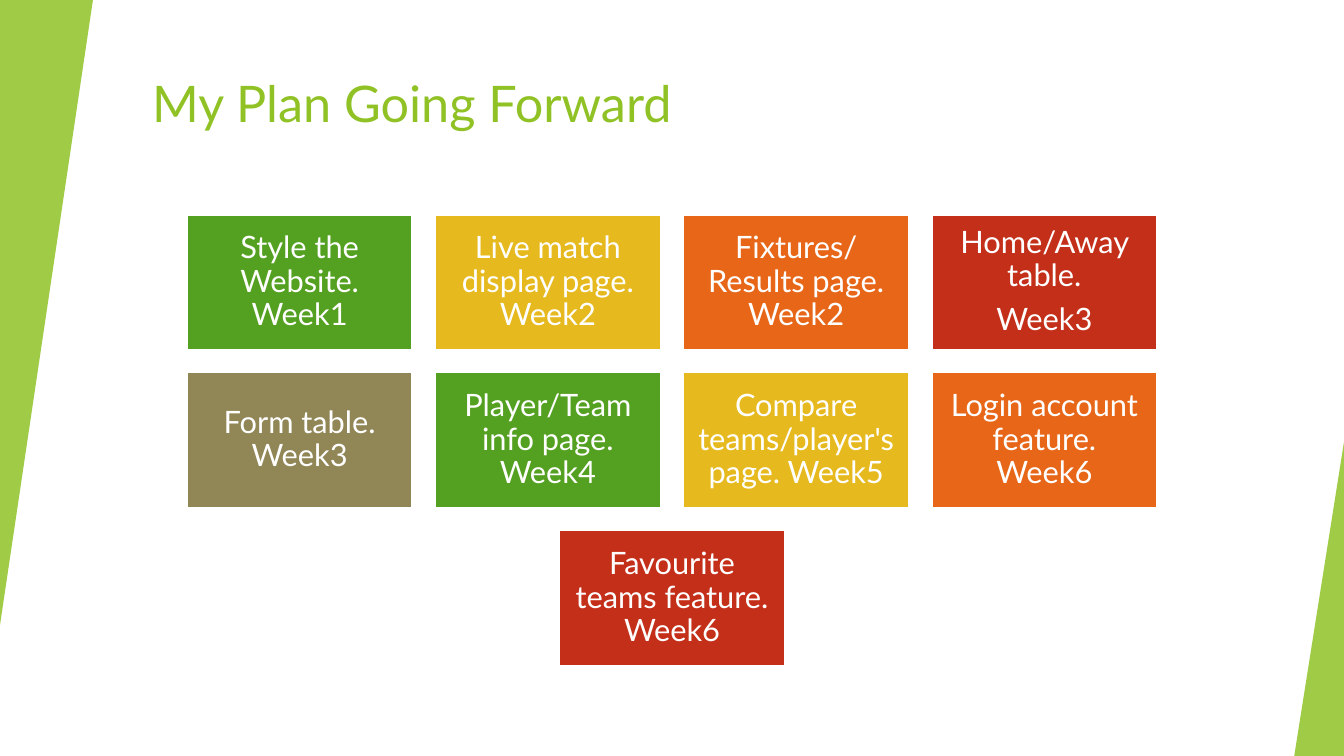
from dataclasses import dataclass

from pptx import Presentation
from pptx.dml.color import RGBColor
from pptx.enum import shapes, text
from pptx.oxml import ns
from pptx.util import Pt
from lxml import etree


@dataclass(frozen=True)
class Theme:
    font: str = "Lato"
    accent: str = "90C226"
    white: str = "FFFFFF"
    green: str = "54A021"
    yellow: str = "E6B91E"
    orange: str = "E76618"
    red: str = "C42F1A"
    olive: str = "918655"
    title_size: float = 36
    task_size: float = 22


@dataclass(frozen=True)
class Task:
    label: str
    color: str


@dataclass(frozen=True)
class Wedge:
    left: float
    top: float
    width: float
    height: float
    rotation: float = 0


THEME = Theme()
SLIDE_W, SLIDE_H = 960, 540
TASK_W = 161.2
TASK_H = TASK_W * 0.6
GAP = TASK_W * 0.1
GRID_TOP = 153.2
COLUMNS = 4

TASKS = [
    Task("Style the Website. Week1", THEME.green),
    Task("Live match display page. Week2", THEME.yellow),
    Task("Fixtures/ Results page. Week2", THEME.orange),
    Task("Home/Away table.\nWeek3", THEME.red),
    Task("Form table. Week3", THEME.olive),
    Task("Player/Team info page. Week4", THEME.green),
    Task("Compare teams/player's page. Week5", THEME.yellow),
    Task("Login account feature. Week6", THEME.orange),
    Task("Favourite teams feature. Week6", THEME.red),
]
WEDGES = [
    Wedge(0, 0, 66.4, 446.4, rotation=180),
    Wedge(924.5, 316, 35.5, 224),
]


def style_runs(paragraph, size: float, color: str) -> None:
    for run in paragraph.runs:
        run.font.name = THEME.font
        run.font.size = Pt(size)
        run.font.color.rgb = RGBColor.from_string(color)


def add_solid(slide, preset, left: float, top: float, width: float, height: float, color: str):
    solid = slide.shapes.add_shape(preset, Pt(left), Pt(top), Pt(width), Pt(height))
    solid.shadow.inherit = False
    solid.fill.solid()
    solid.fill.fore_color.rgb = RGBColor.from_string(color)
    return solid


def add_wedge(slide, wedge: Wedge) -> None:
    edge = add_solid(slide, shapes.MSO_SHAPE.ISOSCELES_TRIANGLE, wedge.left, wedge.top,
                     wedge.width, wedge.height, THEME.accent)
    edge.adjustments[0] = 1.0
    edge.rotation = wedge.rotation
    edge.line.fill.background()
    # 85 % opacity
    tint = edge.fill._xPr.find(".//" + ns.qn("a:srgbClr"))
    etree.SubElement(tint, ns.qn("a:alpha")).set("val", "85000")


def add_task(slide, task: Task, left: float, top: float) -> None:
    card = add_solid(slide, shapes.MSO_SHAPE.RECTANGLE, left, top, TASK_W, TASK_H, task.color)
    card.line.color.rgb = RGBColor.from_string(THEME.white)
    card.line.width = Pt(1.5)
    frame = card.text_frame
    frame.text = task.label
    frame.word_wrap = True
    frame.vertical_anchor = text.MSO_ANCHOR.MIDDLE
    frame.margin_left = frame.margin_right = Pt(6.6)
    frame.margin_top = frame.margin_bottom = Pt(6.6)
    for paragraph in frame.paragraphs:
        paragraph.alignment = text.PP_ALIGN.CENTER
        paragraph.line_spacing = 0.9
        paragraph.space_after = Pt(THEME.task_size * 0.35)
        style_runs(paragraph, THEME.task_size, THEME.white)


deck = Presentation()
deck.slide_width, deck.slide_height = Pt(SLIDE_W), Pt(SLIDE_H)
plan = deck.slides.add_slide(deck.slide_layouts[5])

# Title
title = plan.shapes.title
title.left, title.top, title.width, title.height = Pt(101.5), Pt(48), Pt(803), Pt(86.4)
title.text_frame.text = "My Plan Going Forward"
title.text_frame.auto_size = text.MSO_AUTO_SIZE.NONE
title.text_frame.vertical_anchor = text.MSO_ANCHOR.TOP
heading = title.text_frame.paragraphs[0]
heading.alignment = text.PP_ALIGN.LEFT
style_runs(heading, THEME.title_size, THEME.accent)

# Green edges
for wedge in WEDGES:
    add_wedge(plan, wedge)

# Weekly tasks, each row centred on the slide
for row, start in enumerate(range(0, len(TASKS), COLUMNS)):
    row_tasks = TASKS[start:start + COLUMNS]
    row_width = len(row_tasks) * (TASK_W + GAP) - GAP
    row_left = (SLIDE_W - row_width) / 2
    for column, task in enumerate(row_tasks):
        add_task(plan, task, row_left + column * (TASK_W + GAP),
                 GRID_TOP + row * (TASK_H + GAP))

deck.save("out.pptx")
